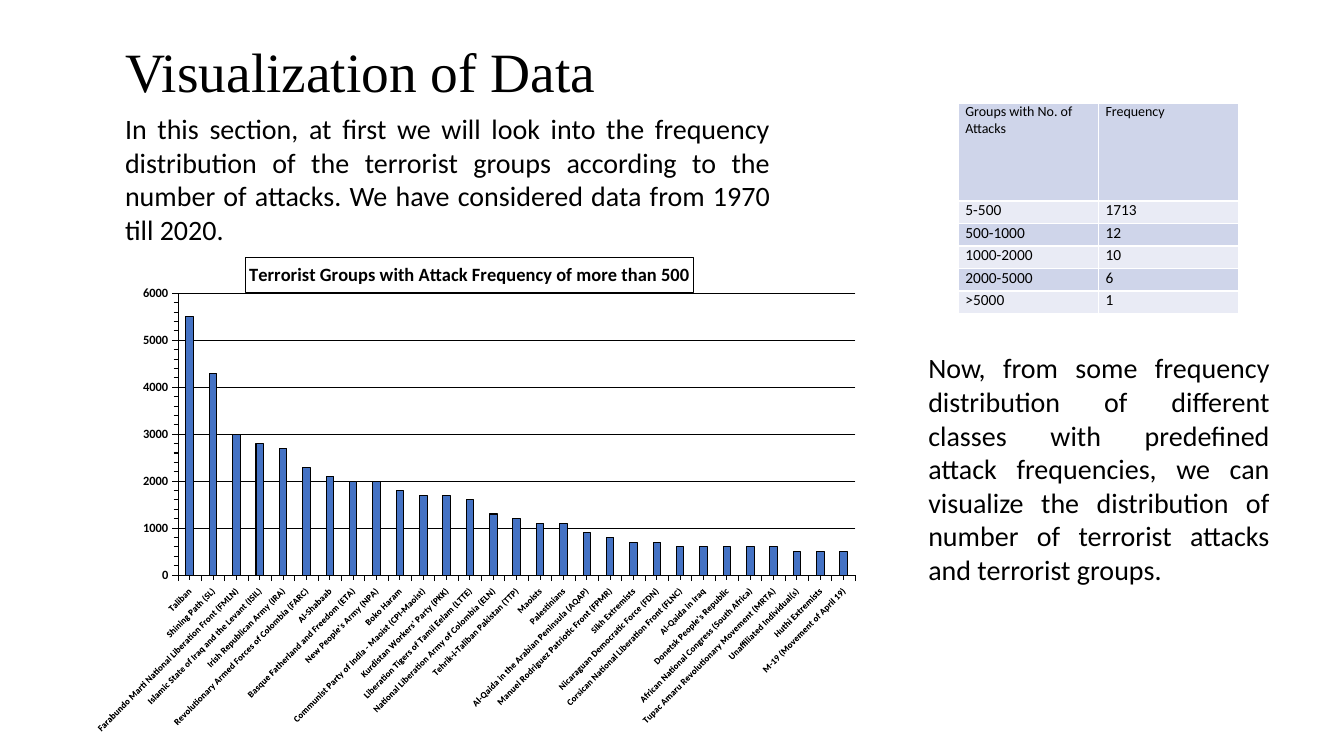
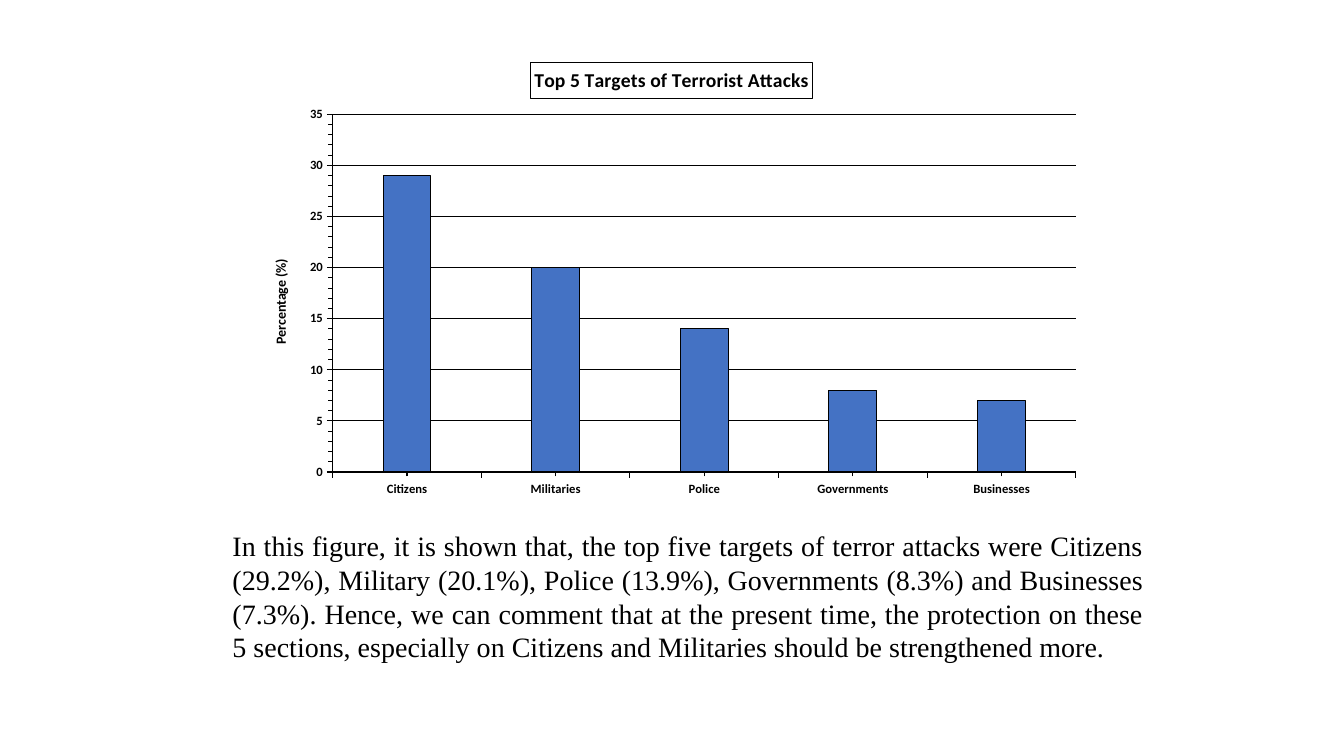
import pptx
import pptx.chart.data
import pptx.dml.color
import pptx.enum.chart
import pptx.enum.text
import pptx.oxml
import pptx.oxml.ns
import pptx.util

Pt = pptx.util.Pt
RGBColor = pptx.dml.color.RGBColor
ALIGN = pptx.enum.text.PP_ALIGN
ANCHOR = pptx.enum.text.MSO_ANCHOR
TICK = pptx.enum.chart.XL_TICK_MARK
qn = pptx.oxml.ns.qn

BLACK = RGBColor(0x00, 0x00, 0x00)
WHITE = RGBColor(0xFF, 0xFF, 0xFF)
BLUE = RGBColor(0x44, 0x72, 0xC4)
BAND_DARK = RGBColor(0xCF, 0xD5, 0xEA)
BAND_LIGHT = RGBColor(0xE9, 0xEB, 0xF5)
SANS, SERIF = "Calibri", "Times New Roman"
TITLE_ONLY, BLANK = 5, 6

GROUPS = [
    ("Taliban", 5500),
    ("Shining Path (SL)", 4300),
    ("Farabundo Marti National Liberation Front (FMLN)", 3000),
    ("Islamic State of Iraq and the Levant (ISIL)", 2800),
    ("Irish Republican Army (IRA)", 2700),
    ("Revolutionary Armed Forces of Colombia (FARC)", 2300),
    ("Al-Shabaab", 2100),
    ("Basque Fatherland and Freedom (ETA)", 2000),
    ("New People's Army (NPA)", 2000),
    ("Boko Haram", 1800),
    ("Communist Party of India - Maoist (CPI-Maoist)", 1700),
    ("Kurdistan Workers' Party (PKK)", 1700),
    ("Liberation Tigers of Tamil Eelam (LTTE)", 1600),
    ("National Liberation Army of Colombia (ELN)", 1300),
    ("Tehrik-i-Taliban Pakistan (TTP)", 1200),
    ("Maoists", 1100),
    ("Palestinians", 1100),
    ("Al-Qaida in the Arabian Peninsula (AQAP)", 900),
    ("Manuel Rodriguez Patriotic Front (FPMR)", 800),
    ("Sikh Extremists", 700),
    ("Nicaraguan Democratic Force (FDN)", 700),
    ("Corsican National Liberation Front (FLNC)", 600),
    ("Al-Qaida in Iraq", 600),
    ("Donetsk People's Republic", 600),
    ("African National Congress (South Africa)", 600),
    ("Tupac Amaru Revolutionary Movement (MRTA)", 600),
    ("Unaffiliated Individual(s)", 500),
    ("Huthi Extremists", 500),
    ("M-19 (Movement of April 19)", 500),
]
TARGETS = [("Citizens", 29), ("Militaries", 20), ("Police", 14),
           ("Governments", 8), ("Businesses", 7)]
FREQUENCIES = [("Groups with No. of Attacks", "Frequency"),
               ("5-500", "1713"), ("500-1000", "12"), ("1000-2000", "10"),
               ("2000-5000", "6"), (">5000", "1")]


def apply(target, **values):
    for name, value in values.items():
        setattr(target, name, value)


def style_font(font, **values):
    apply(font, **values)
    font.color.rgb = BLACK


def style_line(fmt):
    fmt.line.color.rgb = BLACK
    fmt.line.width = Pt(0.75)


def set_layout(parent, index, inner=False, **percents):
    """Place a chart title or plot area by percentages of the chart's size."""
    for old in parent.findall(qn("c:layout")):
        parent.remove(old)
    values = {"layoutTarget": "inner"} if inner else {}
    values.update({f"{side}Mode": "edge" for side in "xy"})
    values.update({side: value / 100 for side, value in percents.items()})
    body = "".join(f'<c:{tag} val="{val}"/>' for tag, val in values.items())
    parent.insert(index, pptx.oxml.parse_xml(
        f'<c:layout {pptx.oxml.ns.nsdecls("c")}><c:manualLayout>{body}'
        '</c:manualLayout></c:layout>'))


class Deck:
    def __init__(self):
        self.prs = pptx.Presentation()
        apply(self.prs, slide_width=Pt(960), slide_height=Pt(540))
        self.slide = None

    def add_slide(self, layout):
        self.slide = self.prs.slides.add_slide(self.prs.slide_layouts[layout])

    def title(self, text, left, top, width, height):
        sp = self.slide.shapes.title
        apply(sp, left=Pt(left), top=Pt(top), width=Pt(width), height=Pt(height))
        tf = sp.text_frame
        apply(tf, text=text, vertical_anchor=ANCHOR.MIDDLE)
        p = tf.paragraphs[0]
        apply(p, alignment=ALIGN.LEFT, line_spacing=0.9)
        style_font(p.runs[0].font, name=SERIF, size=Pt(39.6))

    def body(self, text, left, top, width, height, font=SANS):
        sp = self.slide.shapes.add_textbox(Pt(left), Pt(top), Pt(width), Pt(height))
        tf = sp.text_frame
        apply(tf, text=text, word_wrap=True,
              auto_size=pptx.enum.text.MSO_AUTO_SIZE.SHAPE_TO_FIT_TEXT)
        p = tf.paragraphs[0]
        p.alignment = ALIGN.JUSTIFY
        style_font(p.runs[0].font, name=font, size=Pt(20))

    def table(self, rows, left, top, col_width, head_height, row_height):
        height = head_height + row_height * (len(rows) - 1)
        table = self.slide.shapes.add_table(
            len(rows), len(rows[0]), Pt(left), Pt(top),
            Pt(col_width * len(rows[0])), Pt(height)).table
        apply(table, first_row=False, horz_banding=False)
        for col in table.columns:
            col.width = Pt(col_width)
        for i, row in enumerate(rows):
            table.rows[i].height = Pt(row_height if i else head_height)
            fill = BAND_LIGHT if i % 2 else BAND_DARK
            for j, text in enumerate(row):
                self.cell(table.cell(i, j), text, fill, 11 if i else 10)

    def cell(self, cell, text, fill, size):
        apply(cell, text=text, margin_left=Pt(5), margin_right=Pt(5),
              margin_top=0, margin_bottom=0)
        style_font(cell.text_frame.paragraphs[0].runs[0].font,
                   name=SANS, size=Pt(size))
        props = cell._tc.get_or_add_tcPr()
        for side in "LRTB":
            props.append(pptx.oxml.parse_xml(
                f'<a:ln{side} {pptx.oxml.ns.nsdecls("a")} w="{Pt(1)}">'
                f'<a:solidFill><a:srgbClr val="{WHITE}"/></a:solidFill></a:ln{side}>'))
        cell.fill.solid()
        cell.fill.fore_color.rgb = fill

    def column_chart(self, title, points, left, top, width, height, plot,
                     y_max, y_step, label_size=9, label_angle=0,
                     y_title=None, title_size=14, title_at=None):
        data = pptx.chart.data.CategoryChartData()
        data.categories = [name for name, _ in points]
        data.add_series("Series 1", [value for _, value in points])
        chart = self.slide.shapes.add_chart(
            pptx.enum.chart.XL_CHART_TYPE.COLUMN_CLUSTERED,
            Pt(left), Pt(top), Pt(width), Pt(height), data).chart
        chart.has_legend = False
        style_font(chart.font, name=SANS, size=Pt(10))

        self.chart_text(chart.chart_title, title, title_size)
        style_line(chart.chart_title.format)
        if title_at:
            set_layout(chart.chart_title._element, 1, **title_at)
        set_layout(chart._chartSpace.chart.plotArea, 0, inner=True, **plot)

        bars = chart.plots[0]
        apply(bars, gap_width=210, overlap=-27, vary_by_categories=False)
        series = bars.series[0]
        series.format.fill.solid()
        series.format.fill.fore_color.rgb = BLUE
        style_line(series.format)

        x_axis, y_axis = chart.category_axis, chart.value_axis
        for axis, size in ((x_axis, label_size), (y_axis, 9)):
            apply(axis, major_tick_mark=TICK.OUTSIDE, minor_tick_mark=TICK.OUTSIDE)
            style_font(axis.tick_labels.font, name=SANS, size=Pt(size), bold=True)
            style_line(axis.format)
        x_axis._element.txPr.find(qn("a:bodyPr")).set("rot", str(label_angle * 60000))
        apply(y_axis, minimum_scale=0, maximum_scale=y_max, major_unit=y_step,
              minor_unit=y_step / 5, has_major_gridlines=True)
        style_line(y_axis.major_gridlines.format)
        if y_title:
            self.chart_text(y_axis.axis_title, y_title, 10)

    def chart_text(self, holder, text, size):
        holder.text_frame.text = text
        style_font(holder.text_frame.paragraphs[0].runs[0].font,
                   name=SANS, size=Pt(size), bold=True)


def main():
    deck = Deck()

    deck.add_slide(TITLE_ONLY)
    deck.title("Visualization of Data", 82.2, 29.5, 544, 47)
    deck.body("In this section, at first we will look into the frequency "
              "distribution of the terrorist groups according to the number of "
              "attacks. We have considered data from 1970 till 2020.",
              82.2, 76.2, 475, 104)
    deck.column_chart("Terrorist Groups with Attack Frequency of more than 500",
                      GROUPS, 67.7, 180.6, 553.7, 362,
                      plot={"x": 10.1 - 1, "y": 8, "w": 89, "h": 55.6},
                      y_max=6000, y_step=1000, label_size=6.5, label_angle=-45,
                      title_size=13.4, title_at={"x": 18, "y": 1})
    deck.table(FREQUENCIES, 684.6, 73.7, 100.1, 69.9, 16.1)
    deck.body("Now, from some frequency distribution of different classes with "
              "predefined attack frequencies, we can visualize the distribution "
              "of number of terrorist attacks and terrorist groups.",
              656, 247, 258, 201)

    deck.add_slide(BLANK)
    deck.body("In this figure, it is shown that, the top five targets of terror "
              "attacks were Citizens (29.2%), Military (20.1%), Police (13.9%), "
              "Governments (8.3%) and Businesses (7.3%). Hence, we can comment "
              "that at the present time, the protection on these 5 sections, "
              "especially on Citizens and Militaries should be strengthened more.",
              159, 374.2, 665, 104, font=SERIF)
    deck.column_chart("Top 5 Targets of Terrorist Attacks", TARGETS,
                      178.6, 34.2, 602.6, 327.6,
                      plot={"x": 9.8, "y": 14.5, "w": 88.1, "h": 78},
                      y_max=35, y_step=5, y_title="Percentage (%)")

    deck.prs.save("out.pptx")


if __name__ == "__main__":
    main()
